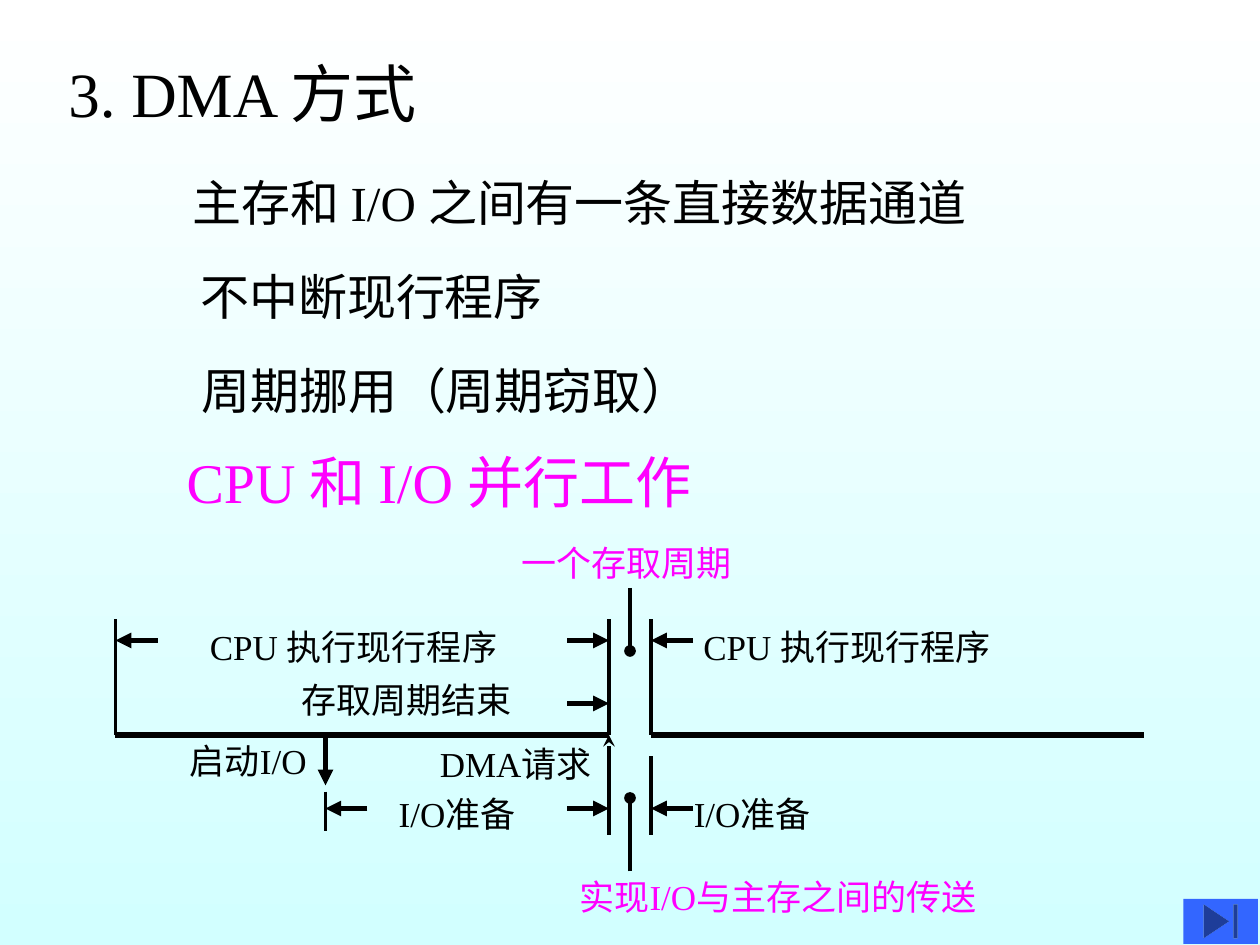
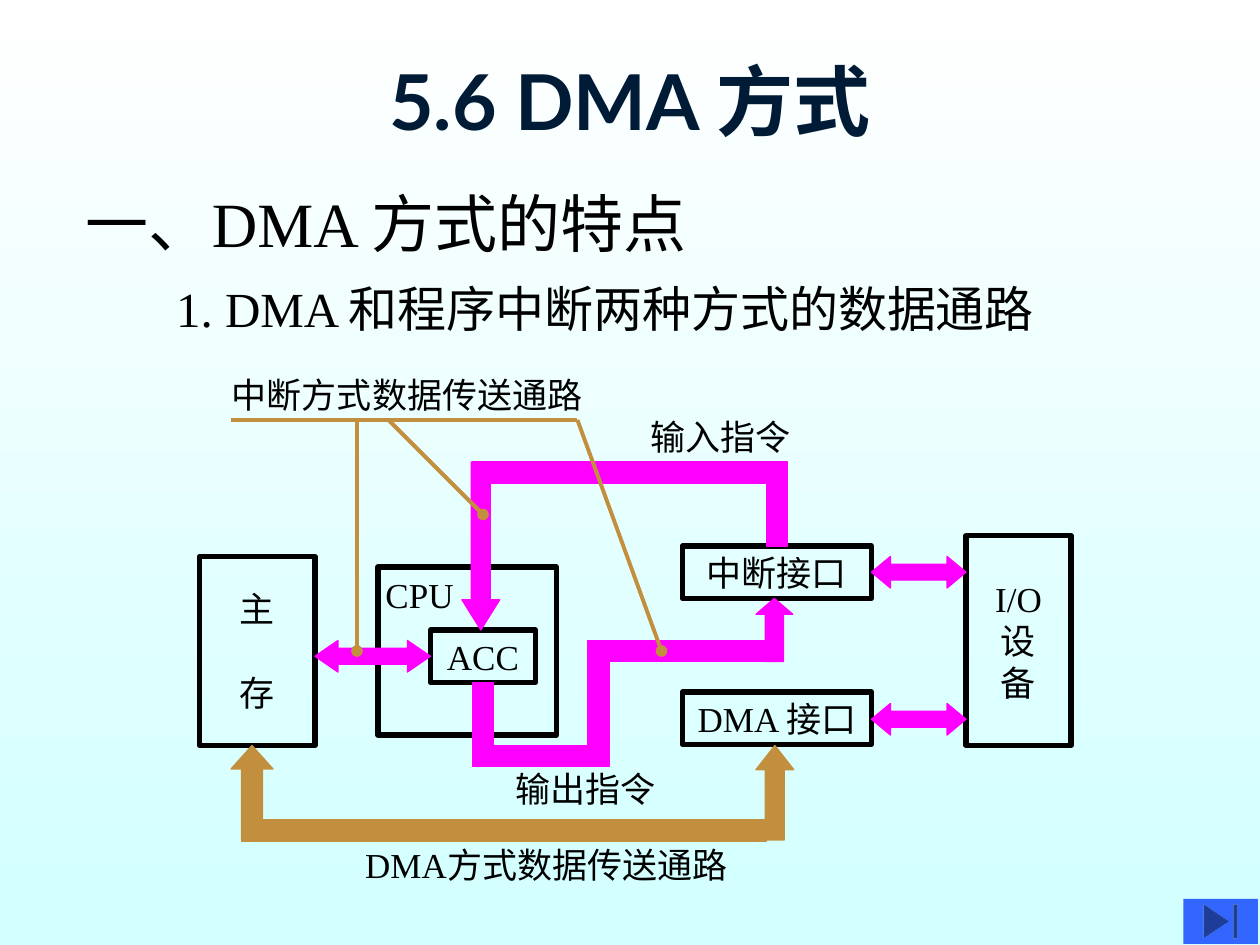
from typing import NamedTuple

from lxml import etree
from pptx import Presentation
from pptx import util as u
from pptx.dml.color import RGBColor
from pptx.enum import shapes as sh
from pptx.enum import text as tx
from pptx.oxml.ns import qn

COLS, ROWS = 120, 90
WIDE, HIGH = u.Inches(10), u.Inches(7.5)
BLACK, PINK, GOLD, NAVY, BLUE = "000000", "FF00FF", "C28F3E", "001B36", "3366FF"
SERIF, SANS = "Times New Roman", "Lato"
KIND = sh.MSO_SHAPE


class Label(NamedTuple):
    """Left-aligned words, placed by column and row."""
    words: str
    x: float
    y: float
    w: float
    size: int = 20
    color: str = BLACK


class Line(NamedTuple):
    x1: float
    y1: float
    x2: float
    y2: float
    weight: float = 2.25
    tip: str = ""
    color: str = BLACK


class Box(NamedTuple):
    """Outlined block; each entry of rows is one paragraph."""
    rows: tuple[str, ...]
    x: float
    y: float
    w: float
    h: float
    gap: float = 0
    corner: bool = False


class Band(NamedTuple):
    """Filled bar or block arrow; head is the arrowhead's share."""
    x: float
    y: float
    w: float
    h: float
    color: str = PINK
    kind: KIND = KIND.RECTANGLE
    head: float = 0


def rgb(code: str) -> RGBColor:
    return RGBColor.from_string(code)


def col(n: float) -> int:
    return round(WIDE * n / COLS)


def row(n: float) -> int:
    return round(HIGH * n / ROWS)


def area(x: float, y: float, w: float, h: float) -> tuple[int, int, int, int]:
    return col(x), row(y), col(w), row(h)


def write(para, words: str, size: int, color: str = BLACK,
          face: str = SERIF, bold: bool = False) -> None:
    run = para.add_run()
    run.text = words
    font = run.font
    font.name, font.size, font.bold = face, u.Pt(size), bold
    font.color.rgb = rgb(color)


def label(slide, it: Label) -> None:
    box = slide.shapes.add_textbox(*area(it.x, it.y, it.w, it.size * 0.22 + 0.9))
    box.text_frame.word_wrap = True
    write(box.text_frame.paragraphs[0], it.words, it.size, it.color)


def line(slide, it: Line) -> None:
    con = slide.shapes.add_connector(sh.MSO_CONNECTOR.STRAIGHT, col(it.x1),
                                     row(it.y1), col(it.x2), row(it.y2))
    con.line.color.rgb = rgb(it.color)
    con.line.width = u.Pt(it.weight)
    props = con.element.spPr
    if it.tip:
        etree.SubElement(props.find(qn("a:ln")), qn("a:tailEnd"), type=it.tip)
    etree.SubElement(props, qn("a:effectLst"))


def box(slide, it: Box) -> None:
    rect = slide.shapes.add_shape(KIND.RECTANGLE, *area(it.x, it.y, it.w, it.h))
    rect.shadow.inherit = False
    rect.fill.background()
    rect.line.color.rgb = rgb(BLACK)
    rect.line.width = u.Pt(3)
    frame = rect.text_frame
    frame.margin_left = u.Inches(0.06 if it.corner else 0)
    frame.margin_right = 0
    frame.vertical_anchor = (tx.MSO_ANCHOR.TOP if it.corner
                             else tx.MSO_ANCHOR.MIDDLE)
    for i, words in enumerate(it.rows):
        para = frame.add_paragraph() if i else frame.paragraphs[0]
        para.alignment = tx.PP_ALIGN.LEFT if it.corner else tx.PP_ALIGN.CENTER
        if i:
            para.space_before = u.Pt(it.gap)
        write(para, words, 20)


def band(slide, it: Band) -> None:
    bar = slide.shapes.add_shape(it.kind, *area(it.x, it.y, it.w, it.h))
    bar.shadow.inherit = False
    bar.fill.solid()
    bar.fill.fore_color.rgb = rgb(it.color)
    bar.line.color.rgb = rgb(it.color)
    bar.line.width = u.Pt(0.75)
    if it.head:
        bar.adjustments[1] = it.head


def title(slide, words: str, x: float, y: float, w: float, h: float,
          align: tx.PP_ALIGN, **look) -> None:
    head = slide.shapes.title
    head.left, head.top, head.width, head.height = area(x, y, w, h)
    frame = head.text_frame
    frame.vertical_anchor = tx.MSO_ANCHOR.MIDDLE
    frame.paragraphs[0].alignment = align
    write(frame.paragraphs[0], words, **look)


def start(deck):
    """Add a title-only slide with the shared end button."""
    slide = deck.slides.add_slide(deck.slide_layouts[5])
    end = slide.shapes.add_shape(KIND.ACTION_BUTTON_END,
                                 *area(112.7, 85.6, 7.1, 4.3))
    end.shadow.inherit = False
    end.fill.solid()
    end.fill.fore_color.rgb = rgb(BLUE)
    end.line.fill.background()
    return slide


def paint(master) -> None:
    """Give all slides the white to pale cyan background."""
    fill = master.background.fill
    fill.gradient()
    fill.gradient_angle = 270
    for stop, code, place in zip(fill.gradient_stops, ("FFFFFF", "D2FFFF"), (0, 1)):
        stop.color.rgb = rgb(code)
        stop.position = place


def cycle(deck) -> None:
    slide = start(deck)
    title(slide, "3. DMA 方式", 5.3, 4.6, 40, 8.4, tx.PP_ALIGN.LEFT, size=36)
    start_io, steal, resume = 31, 58, 62
    base, mid = 70, (steal + resume) / 2
    lines = [
        Line(11, base, steal, base, 3), Line(resume, base, 109, base, 3),
        Line(11, 59, 11, base), Line(steal, 59, steal, base),
        Line(resume, 59, resume, base),
        Line(steal, 79.5, steal, base, tip="stealth"),
        Line(resume, 72, resume, 79.5), Line(start_io, 75.4, start_io, 79.1),
        Line(start_io, base, start_io, 74.8, 3, "triangle"),
        Line(mid, 56, mid, 62, tip="oval"), Line(mid, 83, mid, 76, tip="oval"),
    ]
    for edge, side, y in ((11, 1, 61), (steal, -1, 61), (resume, 1, 61),
                          (steal, -1, 67), (start_io, 1, 77),
                          (steal, -1, 77), (resume, 1, 77)):
        lines.append(Line(edge + 4 * side, y, edge, y, 3, "triangle"))
    for it in lines:
        line(slide, it)
    for it in (
        Label("主存和 I/O 之间有一条直接数据通道", 17.2, 15.8, 84, 28),
        Label("不中断现行程序", 17.9, 24.8, 40, 28),
        Label("周期挪用（周期窃取）", 18, 33.7, 54, 28),
        Label("CPU 和 I/O 并行工作", 16.6, 42, 60, 32, PINK),
        Label("存取周期结束", 27.5, 64, 25),
        Label("CPU 执行现行程序", 18.8, 59, 34),
        Label("CPU 执行现行程序", 65.8, 59, 34),
        Label("DMA请求", 40.7, 70.1, 20),
        Label("启动I/O", 16.9, 69.8, 17),
        Label("I/O准备", 36.8, 74.9, 17),
        Label("I/O准备", 64.9, 74.9, 17),
        Label("一个存取周期", 48.5, 51, 25, color=PINK),
        Label("实现I/O与主存之间的传送", 54, 82.8, 46, color=PINK),
    ):
        label(slide, it)


def routes(deck) -> None:
    slide = start(deck)
    title(slide, "5.6 DMA 方式", 9, 2, 102, 15, tx.PP_ALIGN.CENTER,
          size=44, color=NAVY, face=SANS, bold=True)
    for it in (
        Box(("CPU",), 36, 54, 17, 16, corner=True),
        Box(("主", "存"), 19, 53, 11, 18, gap=24),
        Box(("ACC",), 41, 60, 10, 5),
        Box(("中断接口",), 65, 52, 18, 5),
        Box(("DMA 接口",), 65, 65.9, 18, 5),
        Box(("I/O", "设", "备"), 92, 51, 10, 20),
    ):
        box(slide, it)
    up, down, both = KIND.UP_ARROW, KIND.DOWN_ARROW, KIND.LEFT_RIGHT_ARROW
    for it in (
        Band(45, 65, 2, 7), Band(45, 71, 12, 2),
        Band(56, 62, 2, 11), Band(56, 61, 18, 2),
        Band(72, 57, 3.5, 6, kind=up, head=0.43),
        Band(73, 45, 2, 7), Band(45, 44, 30, 2),
        Band(44, 44, 3.6, 16, kind=down, head=0.8),
        Band(30, 61, 11, 3, kind=both, head=0.73),
        Band(83, 53, 9, 3, kind=both, head=0.6),
        Band(83, 67, 9, 3, kind=both, head=0.6),
        Band(22, 71, 4, 9, GOLD, up, 0.56),
        Band(23, 78.1, 50, 2, GOLD),
        Band(72, 71, 3.6, 9, GOLD, up, 0.64),
    ):
        band(slide, it)
    rule = 40
    line(slide, Line(22, rule, 55, rule, color=GOLD))
    for x, to, y in ((34, 34, 62), (37, 46, 49), (55, 63, 62)):
        line(slide, Line(x, rule, to, y, tip="oval", color=GOLD))
    for it in (
        Label("一、DMA 方式的特点", 7, 17, 72, 36),
        Label("1. DMA 和程序中断两种方式的数据通路", 15.6, 25.9, 92, 28),
        Label("中断方式数据传送通路", 20.9, 35, 39),
        Label("输入指令", 60.8, 39, 19),
        Label("输出指令", 47.9, 72.5, 19),
        Label("DMA方式数据传送通路", 33.6, 79.7, 42),
    ):
        label(slide, it)


def main() -> None:
    deck = Presentation()
    deck.slide_width, deck.slide_height = WIDE, HIGH
    paint(deck.slide_master)
    cycle(deck)
    routes(deck)
    deck.save("out.pptx")


if __name__ == "__main__":
    main()
